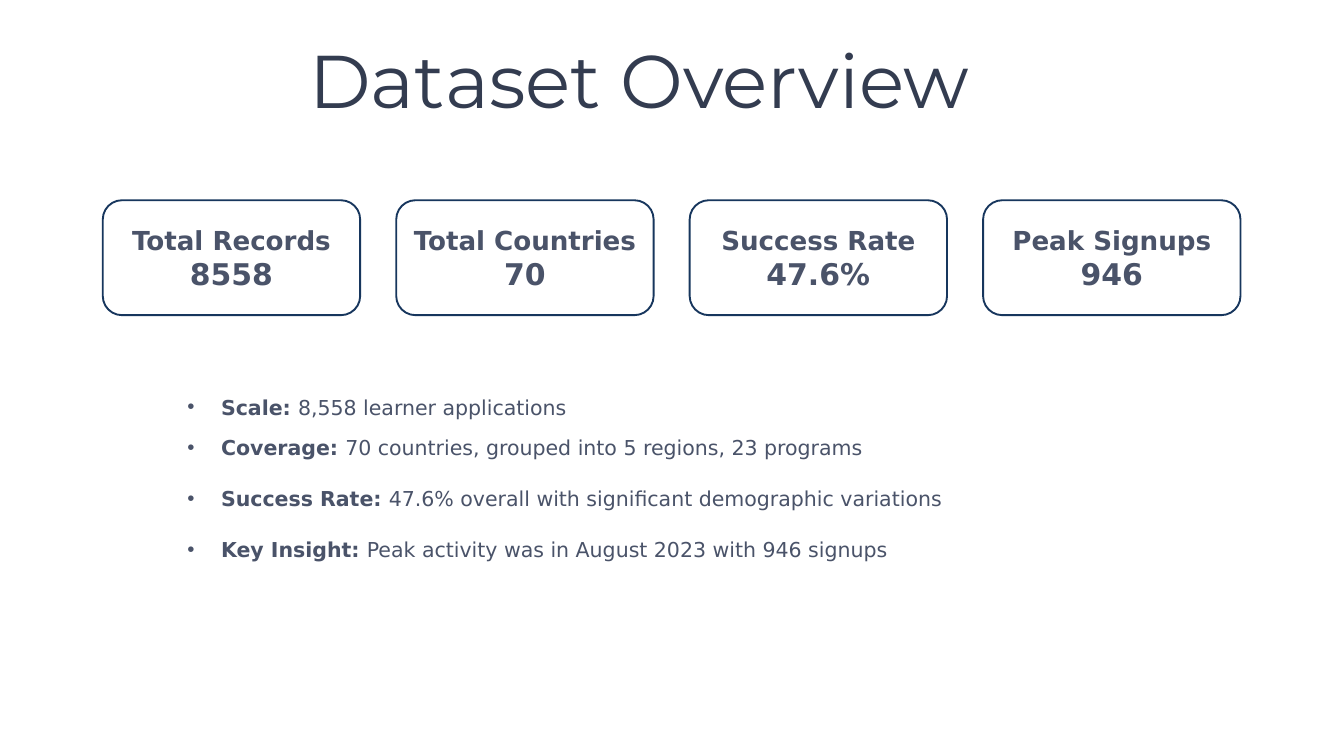
"""Build the Dataset Overview slide with four figure cards and a bulleted summary."""
from pptx import Presentation
from pptx.dml.color import RGBColor
from pptx.enum.shapes import MSO_SHAPE
from pptx.enum.text import MSO_ANCHOR, MSO_AUTO_SIZE, PP_ALIGN
from pptx.util import Pt

ROUNDED = MSO_SHAPE.ROUNDED_RECTANGLE
TOP, MIDDLE = MSO_ANCHOR.TOP, MSO_ANCHOR.MIDDLE
LEFT, CENTER = PP_ALIGN.LEFT, PP_ALIGN.CENTER
FIXED = MSO_AUTO_SIZE.NONE

TITLE_COLOR = RGBColor(0x33, 0x3C, 0x50)
TEXT_COLOR = RGBColor(0x4A, 0x53, 0x69)
BORDER_COLOR = RGBColor(0x17, 0x36, 0x5D)

CARDS = [
    ("Total Records", "8558"),
    ("Total Countries", "70"),
    ("Success Rate", "47.6%"),
    ("Peak Signups", "946"),
]
CARD_LEFT, CARD_PITCH = 110.16, 314.4

FINDINGS = [
    ("Scale: ", "8,558 learner applications", 0, 1),
    ("Coverage: ", "70 countries, grouped into 5 regions, 23 programs", 17.4, 1),
    ("Success Rate: ", "47.6% overall with significant demographic variations", 17.4, 1.41),
    ("Key Insight: ", "Peak activity was in August 2023 with 946 signups", 17.4, 1.41),
]


def add_span(para, text, size=22, bold=False, name="DejaVu Sans", color=TEXT_COLOR):
    span = para.add_run()
    span.text = text
    span.font.size = Pt(size)
    span.font.bold = bold
    span.font.name = name
    span.font.color.rgb = color


def place_placeholder(box, left, top, width, height, inset_top):
    box.left, box.top, box.width, box.height = Pt(left), Pt(top), Pt(width), Pt(height)
    frame = box.text_frame
    frame.auto_size = FIXED
    frame.word_wrap = True
    frame.vertical_anchor = TOP
    frame.margin_left = frame.margin_right = frame.margin_bottom = Pt(0)
    frame.margin_top = Pt(inset_top)
    return frame


deck = Presentation()
deck.slide_width, deck.slide_height = Pt(1440), Pt(810)
page = deck.slides.add_slide(deck.slide_layouts[1])

title = place_placeholder(page.shapes.title, 330.48, 35.28, 779.76, 97.92, 0.72)
title.margin_left = Pt(0.72)
para = title.paragraphs[0]
para.alignment = LEFT
add_span(para, "Dataset Overview", size=80, name="Montserrat", color=TITLE_COLOR)

summary = place_placeholder(page.placeholders[1], 164.16, 406.08, 1149.84, 192.24, 16.56)
for index, (label, detail, space, spacing) in enumerate(FINDINGS):
    para = summary.add_paragraph() if index else summary.paragraphs[0]
    para.space_before = Pt(space)
    para.line_spacing = spacing
    properties = para._p.get_or_add_pPr()
    properties.set("marL", str(Pt(72.72)))
    properties.set("indent", str(Pt(-36)))
    add_span(para, label, bold=True)
    add_span(para, detail)

for index, (label, value) in enumerate(CARDS):
    left = CARD_LEFT + index * CARD_PITCH
    card = page.shapes.add_shape(ROUNDED, Pt(left), Pt(214.56), Pt(275.76), Pt(123.12))
    card.shadow.inherit = False
    card.fill.background()
    card.line.color.rgb = BORDER_COLOR
    card.line.width = Pt(2)
    card.text_frame.word_wrap = True
    card.text_frame.vertical_anchor = MIDDLE
    para = card.text_frame.paragraphs[0]
    para.alignment = CENTER
    add_span(para, label, size=28, bold=True)
    para.add_line_break()
    add_span(para, value, size=32, bold=True)

deck.save("out.pptx")
